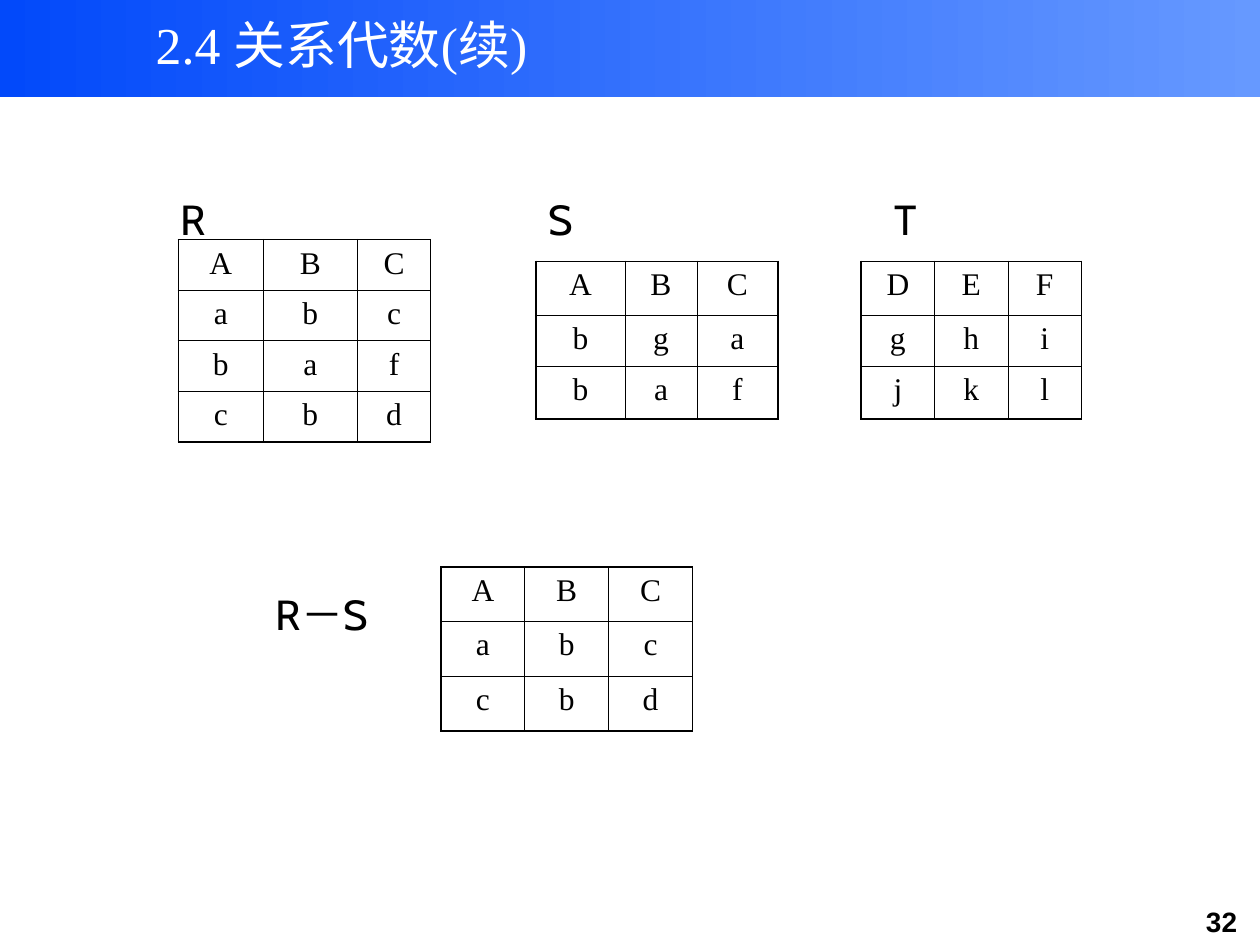
from pptx import Presentation
from pptx.dml.color import RGBColor
from pptx.enum.shapes import MSO_SHAPE
from pptx.enum.text import MSO_ANCHOR, PP_ALIGN
from pptx.oxml.ns import qn
from pptx.util import Cm, Pt
from lxml.etree import SubElement

BLUE = RGBColor(0x02, 0x49, 0xFA)
SKY = RGBColor(0x66, 0x99, 0xFF)
BLACK = RGBColor(0, 0, 0)
WHITE = RGBColor(255, 255, 255)
SERIF = "Times New Roman"
THICK, THIN = Pt(1.08), Pt(0.45)


def style(part, size, name, color=BLACK, bold=False):
    font = part.font
    font.size = Pt(size)
    font.name = name
    font.color.rgb = color
    font.bold = bold


def add_text(slide, box, runs, size, color=BLACK, bold=False,
             align=PP_ALIGN.LEFT, anchor=MSO_ANCHOR.TOP, wrap=True):
    frame = slide.shapes.add_textbox(*map(Cm, box)).text_frame
    frame.word_wrap = wrap
    frame.vertical_anchor = anchor
    para = frame.paragraphs[0]
    para.alignment = align
    for text, name in runs:
        run = para.add_run()
        run.text = text
        style(run, size, name, color, bold)


def add_head(slide, left, top, width, height):
    band = slide.shapes.add_shape(
        MSO_SHAPE.RECTANGLE, Cm(left), Cm(top), Cm(width), Cm(height))
    band.shadow.inherit = False
    band.line.fill.background()
    band.fill.gradient()
    band.fill.gradient_angle = 0
    for stop, color in zip(band.fill.gradient_stops, (BLUE, SKY)):
        stop.color.rgb = color
    add_text(slide, (left + 2.34, top + 0.03, 9.09, 1.7),
             [("2.4 关系代数(续)", SERIF)], 29.6, WHITE,
             align=PP_ALIGN.CENTER, anchor=MSO_ANCHOR.MIDDLE, wrap=False)


def add_edge(cell, tag, width):
    line = SubElement(cell._tc.get_or_add_tcPr(), qn(tag), w=str(width))
    fill = SubElement(line, qn("a:solidFill"))
    SubElement(fill, qn("a:srgbClr"), val=str(BLACK))


def add_grid(slide, left, top, cols, rows, data):
    shape = slide.shapes.add_table(
        len(rows), len(cols), Cm(left), Cm(top), Cm(sum(cols)), Cm(sum(rows)))
    table = shape.table
    table.first_row = table.horz_banding = False
    for col, width in zip(table.columns, cols):
        col.width = Cm(width)
    for row, height in zip(table.rows, rows):
        row.height = Cm(height)
    for i, line in enumerate(data):
        for j, text in enumerate(line):
            cell = table.cell(i, j)
            outer = {"a:lnL": j == 0, "a:lnR": j == len(cols) - 1,
                     "a:lnT": i == 0, "a:lnB": i == len(rows) - 1}
            for tag, rim in outer.items():
                add_edge(cell, tag, THICK if rim else THIN)
            cell.fill.background()
            cell.text_frame.text = text
            para = cell.text_frame.paragraphs[0]
            para.alignment = PP_ALIGN.CENTER
            style(para.runs[0], 18, SERIF)


def add_set(slide, label, box, left, top, cols, rows, data):
    add_grid(slide, left, top, cols, rows, data)
    runs = [(sign, SERIF if sign == "－" else "Cabin") for sign in label]
    add_text(slide, box, runs, 24)


def main():
    deck = Presentation()
    deck.slide_width, deck.slide_height = Cm(25.4), Cm(19.05)
    slide = deck.slides.add_slide(deck.slide_layouts[6])
    add_head(slide, 0, 0, 25.4, 1.96)
    short = (1.09, 1.02, 1.07)
    add_set(slide, "R", (3.38, 3.78, 2.54, 1.27), 3.6, 4.83,
            (1.7, 1.91, 1.47), (1.02,) * 4, ("ABC", "abc", "baf", "cbd"))
    add_set(slide, "S", (10.8, 3.78, 2.54, 1.27), 10.8, 5.27,
            (1.8, 1.45, 1.63), short, ("ABC", "bga", "baf"))
    add_set(slide, "T", (17.78, 3.78, 2.12, 1.27), 17.36, 5.27,
            (1.48,) * 3, short, ("DEF", "ghi", "jkl"))
    add_set(slide, "R－S", (5.31, 11.73, 3.12, 1.27), 8.89, 11.43,
            (1.69,) * 3, (1.1,) * 3, ("ABC", "abc", "cbd"))
    add_text(slide, (23.85, 18.11, 1.55, 0.94), [("32", "Arial")], 16,
             bold=True, align=PP_ALIGN.CENTER)
    deck.save("out.pptx")


if __name__ == "__main__":
    main()
